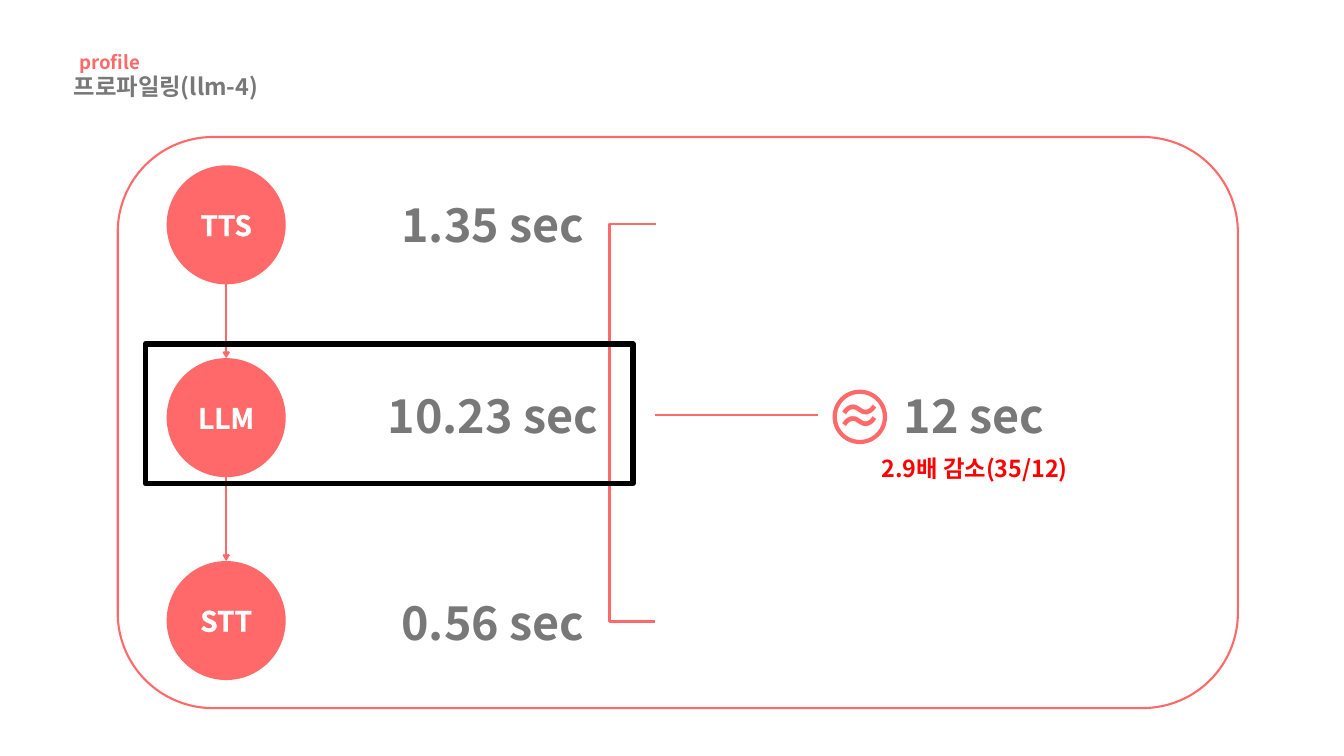
"""Build the profiling slide with three timed stages and their total."""
from lxml import etree
from pptx import Presentation, util as u
from pptx.dml.color import RGBColor
from pptx.enum import shapes, text
from pptx.oxml.ns import qn

CORAL, GREY, WHITE, BLACK, RED = "FF6969", "787878", "FFFFFF", "000000", "FF0000"
FONT = "Noto Sans CJK KR"
CENTER, MIDDLE = text.PP_ALIGN.CENTER, text.MSO_ANCHOR.MIDDLE


def color(value):
    return RGBColor.from_string(value)


def write(shape, words, size, shade, outline, align=CENTER, anchor=MIDDLE):
    frame = shape.text_frame
    frame.word_wrap = True
    frame.vertical_anchor = anchor
    paragraph = frame.paragraphs[0]
    paragraph.alignment = align
    run = paragraph.add_run()
    run.text = words
    for name, value in {"size": u.Pt(size), "bold": True, "name": FONT}.items():
        setattr(run.font, name, value)
    run.font.color.rgb = color(shade)
    properties = run.font._element
    etree.SubElement(properties, qn("a:ea"), typeface=FONT)
    line = etree.Element(qn("a:ln"), w=str(u.Pt(outline)))
    fill = etree.SubElement(line, qn("a:solidFill"))
    etree.SubElement(fill, qn("a:srgbClr"), val=shade)
    properties.insert(0, line)


presentation = Presentation()
presentation.slide_width = u.Cm(50.8)
presentation.slide_height = u.Cm(28.58)
slide = presentation.slides.add_slide(presentation.slide_layouts[6])

diameter, circle_left = 4.5, 6.3
stages = [("TTS", 6.25), ("LLM", 13.54), ("STT", 21.21)]
for label, top in stages:
    shape = slide.shapes.add_shape(
        shapes.MSO_SHAPE.OVAL, u.Cm(circle_left), u.Cm(top), u.Cm(diameter), u.Cm(diameter))
    shape.shadow.inherit = False
    shape.fill.solid()
    shape.fill.fore_color.rgb = color(CORAL)
    shape.line.fill.background()
    write(shape, label, 30, WHITE, 0.75)

left, top_anchor = text.PP_ALIGN.LEFT, text.MSO_ANCHOR.TOP
labels = [
    ("profile", 2.74, 1.78, 4.01, 1.09, 20, CORAL, 1, left, top_anchor),
    ("프로파일링(llm-4)", 2.54, 2.62, 12.5, 1.32, 25, GREY, 2, left, top_anchor),
    ("1.35 sec", 12.5, 7.29, 12.27, 2.36, 50, GREY, 1, CENTER, MIDDLE),
    ("10.23 sec", 12.5, 14.5, 12.27, 2.36, 50, GREY, 1, CENTER, MIDDLE),
    ("0.56 sec", 12.5, 22.33, 12.27, 2.36, 50, GREY, 1, CENTER, MIDDLE),
    ("12 sec", 30.68, 14.5, 12.27, 2.36, 50, GREY, 1, CENTER, MIDDLE),
    ("≈", 30.91, 14.5, 3.18, 2.36, 50, CORAL, 1, CENTER, MIDDLE),
    ("2.9배 감소(35/12)", 29.64, 17.04, 14.4, 1.32, 25, RED, 1, CENTER, MIDDLE),
]
boxes = {}
for words, x, y, width, height, size, shade, outline, align, anchor in labels:
    box = slide.shapes.add_textbox(u.Cm(x), u.Cm(y), u.Cm(width), u.Cm(height))
    write(box, words, size, shade, outline, align, anchor)
    box.text_frame.auto_size = text.MSO_AUTO_SIZE.SHAPE_TO_FIT_TEXT
    boxes[words] = box

straight, elbow = shapes.MSO_CONNECTOR.STRAIGHT, shapes.MSO_CONNECTOR.ELBOW
center_x = u.Cm(circle_left + diameter / 2)
arrows = [
    slide.shapes.add_connector(straight, center_x, u.Cm(upper + diameter), center_x, u.Cm(lower))
    for (_, upper), (_, lower) in zip(stages, stages[1:])
]
bracket = slide.shapes.add_connector(elbow, 0, 0, 0, 0)
bracket.begin_connect(boxes["1.35 sec"], 3)
bracket.end_connect(boxes["0.56 sec"], 3)
bracket.width = u.Cm(0.01)
guides = bracket._element.spPr.find(qn("a:prstGeom")).get_or_add_avLst()
etree.SubElement(guides, qn("a:gd"), name="adj1", fmla="val 17500000")
total_line = slide.shapes.add_connector(straight, 0, 0, 0, 0)
total_line.begin_connect(boxes["10.23 sec"], 3)
total_line.end_connect(boxes["≈"], 1)

for connector in [*arrows, bracket, total_line]:
    connector.line.color.rgb = color(CORAL)
    connector.line.width = u.Pt(3 if connector is bracket else 2.25)
    if connector in arrows:
        etree.SubElement(connector.line._get_or_add_ln(), qn("a:tailEnd"), type="arrow")
    etree.SubElement(connector._element.spPr, qn("a:effectLst"))

outlines = [
    (shapes.MSO_SHAPE.FLOWCHART_ALTERNATE_PROCESS, 4.45, 5.18, 42.34, 21.59, CORAL, 2.25),
    (shapes.MSO_SHAPE.OVAL, 31.55, 14.81, 1.9, 1.9, CORAL, 4.5),
    (shapes.MSO_SHAPE.RECTANGLE, 5.5, 13, 18.42, 5.28, BLACK, 6),
]
for kind, x, y, width, height, shade, weight in outlines:
    shape = slide.shapes.add_shape(kind, u.Cm(x), u.Cm(y), u.Cm(width), u.Cm(height))
    shape.shadow.inherit = False
    shape.fill.background()
    shape.line.color.rgb = color(shade)
    shape.line.width = u.Pt(weight)

presentation.save("out.pptx")
